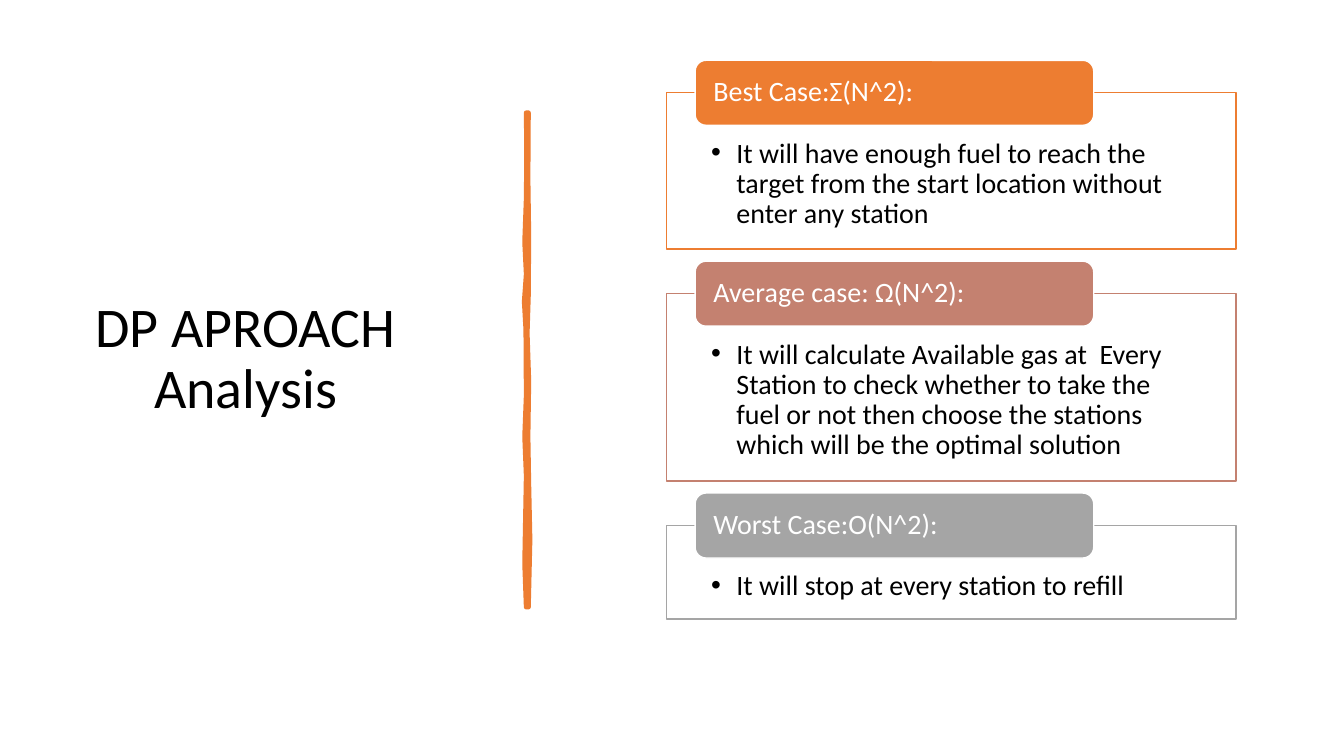
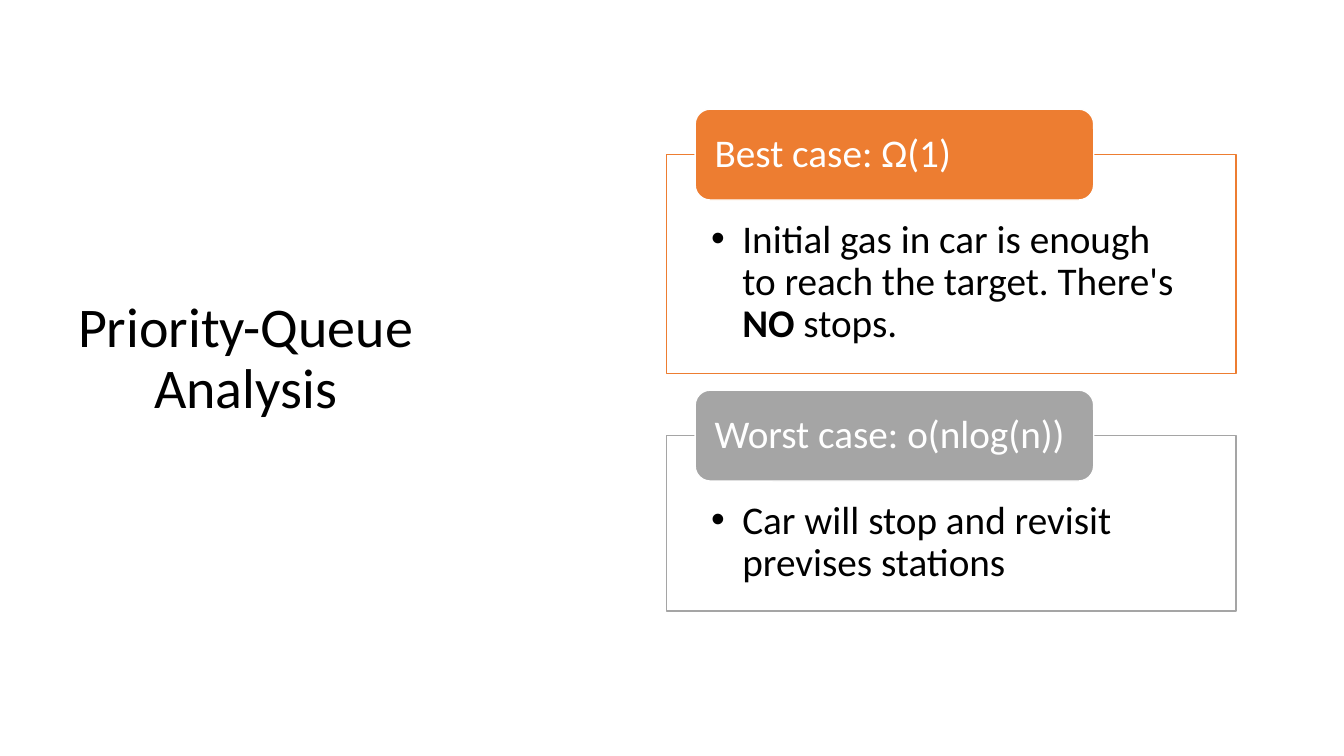
from lxml import etree
from pptx import Presentation
from pptx.dml.color import RGBColor
from pptx.enum import shapes, text
from pptx.oxml.ns import qn
from pptx.util import Cm, Pt

ORANGE = RGBColor(0xED, 0x7D, 0x31)
ROSE = RGBColor(0xC4, 0x81, 0x70)
GRAY = RGBColor(0xA5, 0xA5, 0xA5)
WHITE = RGBColor(0xFF, 0xFF, 0xFF)
BLACK = RGBColor(0, 0, 0)
FONT = "Calibri"

PANEL_LEFT, PANEL_WIDTH = Cm(16.8), Cm(14.35)
TAB_SHIFT, TAB_SHARE = 0.05, 0.7  # shares of the panel width
# Heights as multiples of the text size
TAB_EM, GAP_EM, TOP_EM, BOTTOM_EM = 2.32, 0.43, 1.65, 0.57

# Edges of the brush stroke in cm, listed from top to bottom
STROKE_RIGHT = [
    (13.32, 2.84), (13.31, 4.5), (13.33, 5.92), (13.32, 7.44), (13.29, 8.4),
    (13.33, 9.6), (13.31, 11), (13.33, 12.2), (13.36, 13.6), (13.32, 15.3)]
STROKE_LEFT = [
    (13.26, 2.84), (13.27, 3.9), (13.26, 5), (13.22, 6.1), (13.26, 6.91),
    (13.21, 7.6), (13.25, 8.31), (13.26, 9.96), (13.22, 11), (13.26, 11.99),
    (13.22, 14.2), (13.26, 15.3)]


def write(frame, lines, size, color, **frame_format):
    """Fill a text frame with one paragraph of lines, each of (wording, bold) runs."""
    frame_format = {"word_wrap": True, **frame_format}
    for name, value in frame_format.items():
        setattr(frame, name, value)
    paragraph = frame.paragraphs[0]
    paragraph.line_spacing = 0.9
    paragraph.alignment = text.PP_ALIGN.LEFT
    for number, runs in enumerate(lines):
        if number:
            paragraph.add_line_break()
        for wording, bold in runs:
            run = paragraph.add_run()
            run.text = wording
            look = {"name": FONT, "size": size, "bold": bold}
            for name, value in look.items():
                setattr(run.font, name, value)
            run.font.color.rgb = color
    return paragraph


def add_bullet(paragraph, indent):
    properties = paragraph._p.get_or_add_pPr()
    properties.set("marL", str(indent))
    properties.set("indent", str(-indent))
    etree.SubElement(properties, qn("a:buFont"), typeface="Arial")
    etree.SubElement(properties, qn("a:buChar"), char="•")


def paint(shape, fill, line, width):
    shape.shadow.inherit = False
    shape.fill.solid()
    shape.fill.fore_color.rgb = fill
    shape.line.color.rgb = line
    shape.line.width = width


def add_title(slide, lines):
    title = slide.shapes.add_textbox(Cm(0.03), Cm(1.52), Cm(12.32), Cm(15.09))
    paragraph = write(title.text_frame, [[(line, False)] for line in lines], Pt(40),
                      BLACK, vertical_anchor=text.MSO_ANCHOR.MIDDLE)
    paragraph.alignment = text.PP_ALIGN.CENTER


def add_brush_stroke(slide):
    outline = [(Cm(x), Cm(y)) for x, y in STROKE_RIGHT + STROKE_LEFT[::-1]]
    builder = slide.shapes.build_freeform(*outline[0])
    builder.add_line_segments(outline[1:], close=True)
    stroke = builder.convert_to_shape()
    paint(stroke, ORANGE, ORANGE, Pt(3.25))
    etree.SubElement(stroke._element.spPr.find(qn("a:ln")), qn("a:round"))


def add_case(slide, top, height, size, indent, color, label, body):
    """Draw a bordered panel with a tab across its top edge; return its bottom."""
    tab_height = int(size * TAB_EM)
    panel_top = top + tab_height // 2
    panel = slide.shapes.add_shape(
        shapes.MSO_SHAPE.RECTANGLE, PANEL_LEFT, panel_top, PANEL_WIDTH, height)
    paint(panel, WHITE, color, Pt(1))
    paragraph = write(
        panel.text_frame, [body], size, BLACK, vertical_anchor=text.MSO_ANCHOR.TOP,
        margin_left=Cm(1.12), margin_right=Cm(1.12),
        margin_top=int(size * TOP_EM), margin_bottom=int(size * BOTTOM_EM))
    add_bullet(paragraph, indent)

    tab = slide.shapes.add_shape(
        shapes.MSO_SHAPE.ROUNDED_RECTANGLE, PANEL_LEFT + int(PANEL_WIDTH * TAB_SHIFT),
        top, int(PANEL_WIDTH * TAB_SHARE), tab_height)
    paint(tab, color, WHITE, Pt(1))
    write(tab.text_frame, [[(label, False)]], size, WHITE,
          vertical_anchor=text.MSO_ANCHOR.MIDDLE,
          margin_left=Cm(0.38), margin_right=Cm(0.38), margin_top=0, margin_bottom=0)
    return panel_top + height


def add_analysis(deck, title, top, size, indent, cases):
    slide = deck.slides.add_slide(deck.slide_layouts[6])
    add_title(slide, title)
    for color, height, label, body in cases:
        bottom = add_case(slide, top, height, size, indent, color, label, body)
        top = bottom + int(size * GAP_EM)
    return slide


def main():
    deck = Presentation()
    deck.slide_width, deck.slide_height = Cm(33.87), Cm(19.05)

    dynamic = add_analysis(
        deck, ["DP APROACH", "Analysis"], Cm(1.52), Pt(20), Cm(0.64), [
            (ORANGE, Cm(3.94), "Best Case:Σ(N^2):",
             [("It will have enough fuel to reach the target from the start "
               "location without enter any station", False)]),
            (ROSE, Cm(4.72), "Average case: Ω(N^2):",
             [("It will calculate Available gas at  Every Station to check "
               "whether to take the fuel or not then choose the stations which "
               "will be the optimal solution", False)]),
            (GRAY, Cm(2.36), "Worst Case:O(N^2):",
             [("It will stop at every station to refill", False)]),
        ])
    add_brush_stroke(dynamic)

    add_analysis(
        deck, ["Priority-Queue", "Analysis"], Cm(2.75), Pt(28), Cm(0.79), [
            (ORANGE, Cm(5.51), "Best case: Ω(1)",
             [("Initial gas in car is enough to reach the target. There's ", False),
              ("NO", True), (" stops.", False)]),
            (GRAY, Cm(4.42), "Worst case: o(nlog(n))",
             [("Car will stop and revisit previses stations", False)]),
        ])

    deck.save("out.pptx")


if __name__ == "__main__":
    main()
